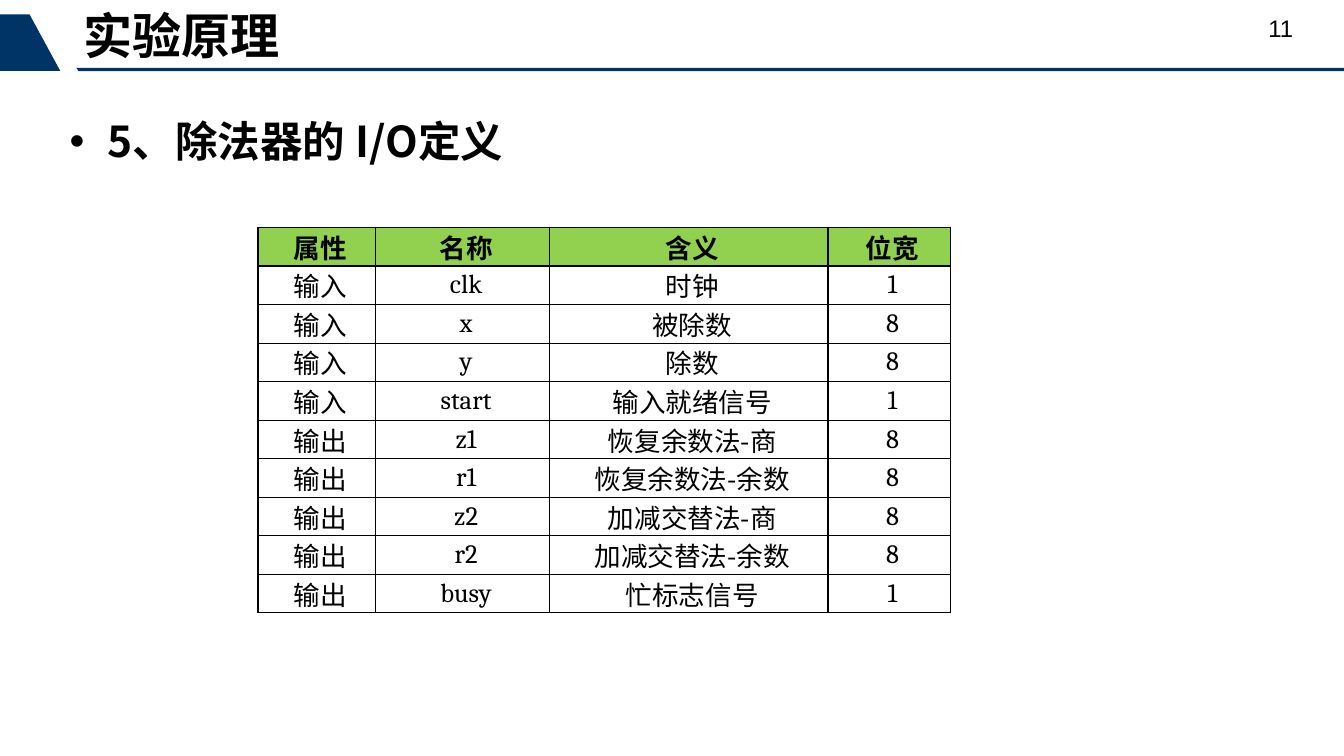
from dataclasses import dataclass

from lxml import etree
from pptx import Presentation
from pptx.dml.color import RGBColor
from pptx.enum.text import MSO_ANCHOR, PP_ALIGN
from pptx.oxml.ns import qn
from pptx.util import Inches, Pt

TOP, MIDDLE = MSO_ANCHOR.TOP, MSO_ANCHOR.MIDDLE
CENTER = PP_ALIGN.CENTER
NAVY, GREEN, BLACK = "003366", "92D050", "000000"
SANS, SERIF, HAN = "Arial", "Cambria", "Noto Sans CJK SC"
WIDTH, HEIGHT = Inches(14.06), Inches(7.91)

# All places and sizes are percentages of the slide's width and height.
RULE = [(5.69, 8.98), (100, 8.98), (100, 9.4), (5.83, 9.4)]
FLAG = [(2.2, 1.9), (4.48, 9.36), (0, 9.36), (0, 1.9)]
TABLE_LEFT, TABLE_TOP, ROW = 19.2, 30.09, 5.1
COLUMNS = [8.75, 12.96, 20.7, 9.1]

HEADER = ("属性", "名称", "含义", "位宽")
SIGNALS = [
    ("输入", "clk", "时钟", "1"),
    ("输入", "x", "被除数", "8"),
    ("输入", "y", "除数", "8"),
    ("输入", "start", "输入就绪信号", "1"),
    ("输出", "z1", "恢复余数法-商", "8"),
    ("输出", "r1", "恢复余数法-余数", "8"),
    ("输出", "z2", "加减交替法-商", "8"),
    ("输出", "r2", "加减交替法-余数", "8"),
    ("输出", "busy", "忙标志信号", "1"),
]


@dataclass
class Label:
    text: str
    left: float
    top: float
    width: float
    height: float
    size: int
    font: str = SANS
    bold: bool = False
    anchor: MSO_ANCHOR = TOP
    spacing: float = 1.0
    bullet: str = ""


LABELS = [
    Label("实验原理", 5.48, 1.2, 64.01, 7.84, 37, bold=True, anchor=MIDDLE, spacing=0.9),
    Label("11", 93.67, 1.2, 5.05, 4.8, 18),
    Label("5、除法器的 I/O定义", 4.48, 11.66, 65.01, 10.49, 32, HAN, True, MIDDLE, 1.5, "•"),
]


def across(share: float) -> int:
    return round(WIDTH * share / 100)


def down(share: float) -> int:
    return round(HEIGHT * share / 100)


def paint(fill, color: str) -> None:
    fill.solid()
    fill.fore_color.rgb = RGBColor.from_string(color)


def style(para, font: str, size: int, bold: bool) -> None:
    """Set the paragraph's font for Latin and Chinese characters."""
    para.font.name = font
    para.font.size = Pt(size)
    para.font.bold = bold
    para.font.color.rgb = RGBColor.from_string(BLACK)
    base = para._p.get_or_add_pPr().find(qn("a:defRPr"))
    etree.SubElement(base, qn("a:ea"), typeface=HAN)


def indent(para, margin: int, first: int) -> None:
    props = para._p.get_or_add_pPr()
    props.set("marL", str(margin))
    props.set("indent", str(first))


def add_bullet(para, mark: str) -> None:
    indent(para, Inches(0.4), -Inches(0.4))
    base = para._p.get_or_add_pPr().find(qn("a:defRPr"))
    face = etree.Element(qn("a:buFont"), typeface=SANS)
    sign = etree.Element(qn("a:buChar"), char=mark)
    base.addprevious(face)
    base.addprevious(sign)


def add_outline(slide, points: list[tuple[float, float]]) -> None:
    corners = [(across(x), down(y)) for x, y in points]
    builder = slide.shapes.build_freeform(*corners[0])
    builder.add_line_segments(corners[1:], close=True)
    shape = builder.convert_to_shape()
    shape.shadow.inherit = False
    paint(shape.fill, NAVY)
    shape.line.fill.background()


def add_label(slide, label: Label) -> None:
    box = slide.shapes.add_textbox(
        across(label.left), down(label.top), across(label.width), down(label.height))
    frame = box.text_frame
    frame.word_wrap = True
    frame.vertical_anchor = label.anchor
    para = frame.paragraphs[0]
    para.text = label.text
    para.line_spacing = label.spacing
    style(para, label.font, label.size, label.bold)
    if label.bullet:
        add_bullet(para, label.bullet)


def add_border(cell) -> None:
    props = cell._tc.get_or_add_tcPr()
    for side in ("lnL", "lnR", "lnT", "lnB"):
        line = etree.SubElement(props, qn(f"a:{side}"), w=str(Pt(1)))
        fill = etree.SubElement(line, qn("a:solidFill"))
        etree.SubElement(fill, qn("a:srgbClr"), val=BLACK)


def fill_cell(cell, text: str, head: bool) -> None:
    cell.margin_left = cell.margin_top = cell.margin_bottom = 0
    cell.margin_right = Inches(0.07)
    cell.vertical_anchor = MIDDLE
    para = cell.text_frame.paragraphs[0]
    para.text = text
    para.alignment = CENTER
    indent(para, 0, Inches(0.14))
    style(para, SERIF if text.isascii() else HAN, 20, head)
    add_border(cell)
    if head:
        paint(cell.fill, GREEN)
    else:
        cell.fill.background()


def add_signals(slide) -> None:
    rows = [HEADER, *SIGNALS]
    table = slide.shapes.add_table(
        len(rows), len(COLUMNS), across(TABLE_LEFT), down(TABLE_TOP),
        across(sum(COLUMNS)), down(ROW * len(rows))).table
    table.first_row = table.horz_banding = False
    for column, share in zip(table.columns, COLUMNS):
        column.width = across(share)
    for r, row in enumerate(rows):
        table.rows[r].height = down(ROW)
        for c, text in enumerate(row):
            fill_cell(table.cell(r, c), text, r == 0)


def main() -> None:
    deck = Presentation()
    deck.slide_width, deck.slide_height = WIDTH, HEIGHT
    slide = deck.slides.add_slide(deck.slide_layouts[6])
    for points in (RULE, FLAG):
        add_outline(slide, points)
    for label in LABELS:
        add_label(slide, label)
    add_signals(slide)
    deck.save("out.pptx")


if __name__ == "__main__":
    main()
